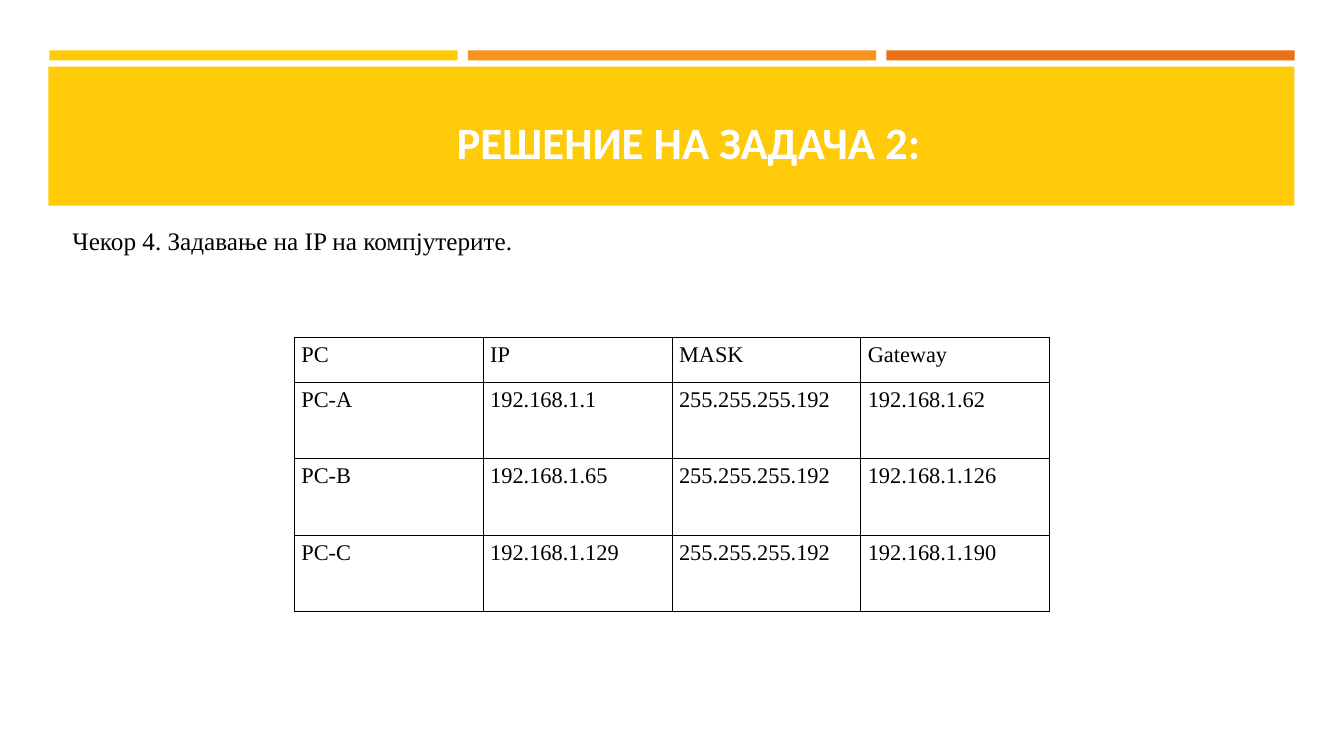
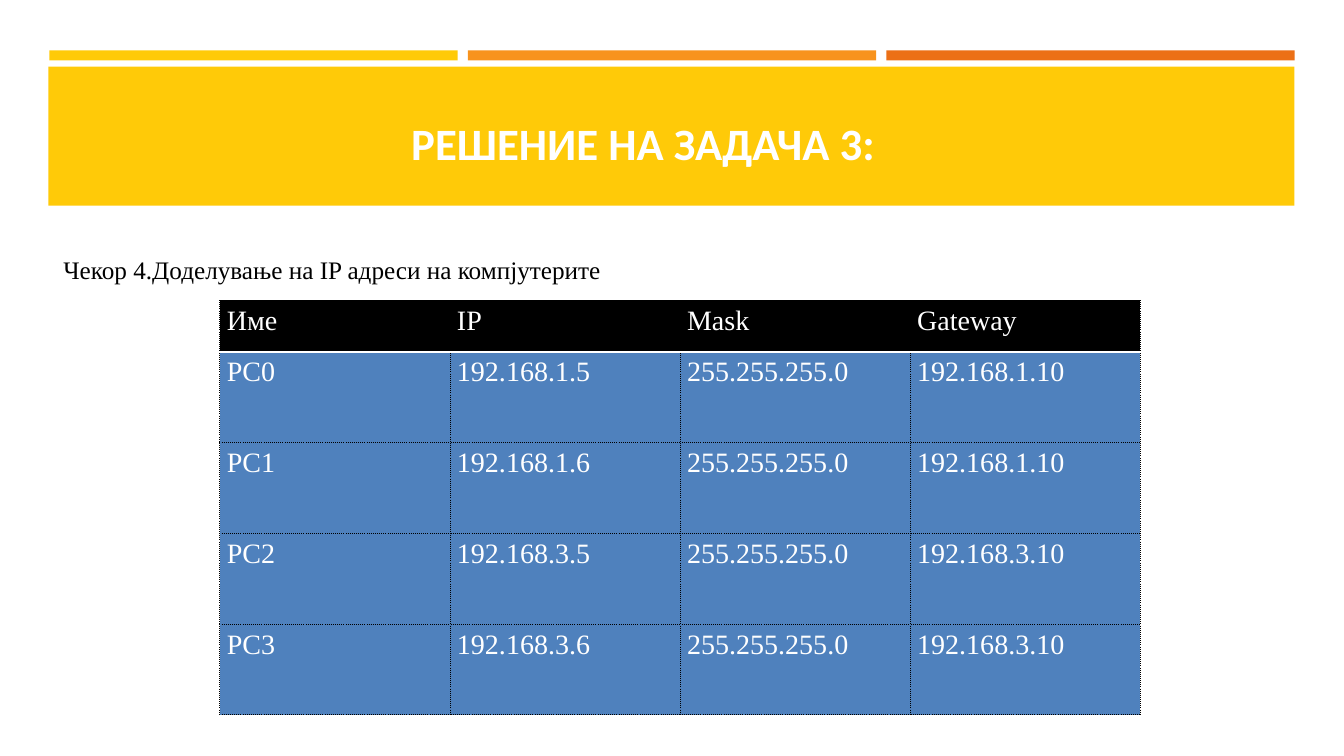
from lxml import etree
from pptx import Presentation
from pptx.dml.color import RGBColor
from pptx.enum import shapes, text
from pptx.oxml import ns
from pptx.util import Inches, Pt

YELLOW, AMBER, ORANGE = "FFCA08", "F8931D", "EC7016"
BLACK, WHITE, BLUE = "000000", "FFFFFF", "4F81BD"
SERIF = "Times New Roman"
BAR_W, BAR_GAP = 4.05, 0.1
BANDS = [(0.49 + i * (BAR_W + BAR_GAP), 0.5, BAR_W, 0.1, colour)
         for i, colour in enumerate((YELLOW, AMBER, ORANGE))]
BANDS.append((0.48, 0.66, 12.36, 1.38, YELLOW))

SLIDES = [
    {
        "title": ("РЕШЕНИЕ НА ЗАДАЧА 2:", 4.43, 0.64),
        "step": ("Чекор 4. Задавање на IP на компјутерите.", 0.62, 2.19),
        "place": (2.92, 3.35, 7.49),
        "heights": (0.44, 0.76),
        "size": 16, "colour": BLACK, "fills": (None, None),
        "dash": "solid", "rule": (BLACK, 0.5, "solid"),
        "rows": [
            ("PC", "IP", "MASK", "Gateway"),
            ("PC-A", "192.168.1.1", "255.255.255.192", "192.168.1.62"),
            ("PC-B", "192.168.1.65", "255.255.255.192", "192.168.1.126"),
            ("PC-C", "192.168.1.129", "255.255.255.192", "192.168.1.190"),
        ],
    },
    {
        "title": ("РЕШЕНИЕ НА ЗАДАЧА 3:", 3.98, 0.65),
        "step": ("Чекор 4.Доделување на IP адреси на компјутерите", 0.53, 2.47),
        "place": (2.18, 2.98, 9.13),
        "heights": (0.51, 0.9),
        "size": 20, "colour": WHITE, "fills": (BLACK, BLUE),
        "dash": "sysDot", "rule": (WHITE, 1.5, "solid"),
        "rows": [
            ("Име", "IP", "Mask", "Gateway"),
            ("PC0", "192.168.1.5", "255.255.255.0", "192.168.1.10"),
            ("PC1", "192.168.1.6", "255.255.255.0", "192.168.1.10"),
            ("PC2", "192.168.3.5", "255.255.255.0", "192.168.3.10"),
            ("PC3", "192.168.3.6", "255.255.255.0", "192.168.3.10"),
        ],
    },
]


def write(tf, words, size, colour, font=SERIF, bold=False):
    tf.word_wrap = True
    p = tf.paragraphs[0]
    r = p.add_run()
    r.text = words
    r.font.name, r.font.size, r.font.bold = font, Pt(size), bold
    r.font.color.rgb = RGBColor.from_string(colour)


def add_border(cell, side, colour, width, dash):
    """Draw one cell edge; call in the order L, R, T, B and before the fill."""
    ln = etree.SubElement(cell._tc.get_or_add_tcPr(), ns.qn(f"a:ln{side}"), w=str(Pt(width)))
    fill = etree.SubElement(ln, ns.qn("a:solidFill"))
    etree.SubElement(fill, ns.qn("a:srgbClr"), val=colour)
    etree.SubElement(ln, ns.qn("a:prstDash"), val=dash)


prs = Presentation()
prs.slide_width, prs.slide_height = Inches(13.33), Inches(7.5)

for data in SLIDES:
    s = prs.slides.add_slide(prs.slide_layouts[6])

    for left, top, width, height, colour in BANDS:
        sp = s.shapes.add_shape(shapes.MSO_SHAPE.RECTANGLE, Inches(left), Inches(top),
                                Inches(width), Inches(height))
        sp.shadow.inherit = False
        sp.fill.solid()
        sp.fill.fore_color.rgb = RGBColor.from_string(colour)
        sp.line.fill.background()

    title, left, top = data["title"]
    tf = s.shapes.add_textbox(Inches(left), Inches(top), Inches(8.4), Inches(1.08)).text_frame
    tf.vertical_anchor = text.MSO_ANCHOR.BOTTOM
    write(tf, title, 32, WHITE, "Calibri", True)

    step, left, top = data["step"]
    tf = s.shapes.add_textbox(Inches(left), Inches(top), Inches(7.55), Inches(0.4)).text_frame
    write(tf, step, 18, BLACK)

    rows = data["rows"]
    left, top, width = data["place"]
    head_h, body_h = data["heights"]
    height = head_h + body_h * (len(rows) - 1)
    table = s.shapes.add_table(len(rows), len(rows[0]), Inches(left), Inches(top),
                               Inches(width), Inches(height)).table
    table.first_row = table.horz_banding = False
    edge = (BLACK, 0.5, data["dash"])
    for i, row in enumerate(rows):
        table.rows[i].height = Inches(body_h if i else head_h)
        fill = data["fills"][min(i, 1)]
        for j, words in enumerate(row):
            cell = table.cell(i, j)
            cell.margin_left = cell.margin_right = Inches(0.07)
            write(cell.text_frame, words, data["size"], data["colour"])
            add_border(cell, "L", *edge)
            add_border(cell, "R", *edge)
            add_border(cell, "T", *(data["rule"] if i == 1 else edge))
            add_border(cell, "B", *(data["rule"] if i == 0 else edge))
            if fill:
                cell.fill.solid()
                cell.fill.fore_color.rgb = RGBColor.from_string(fill)
            else:
                cell.fill.background()

prs.save("out.pptx")
